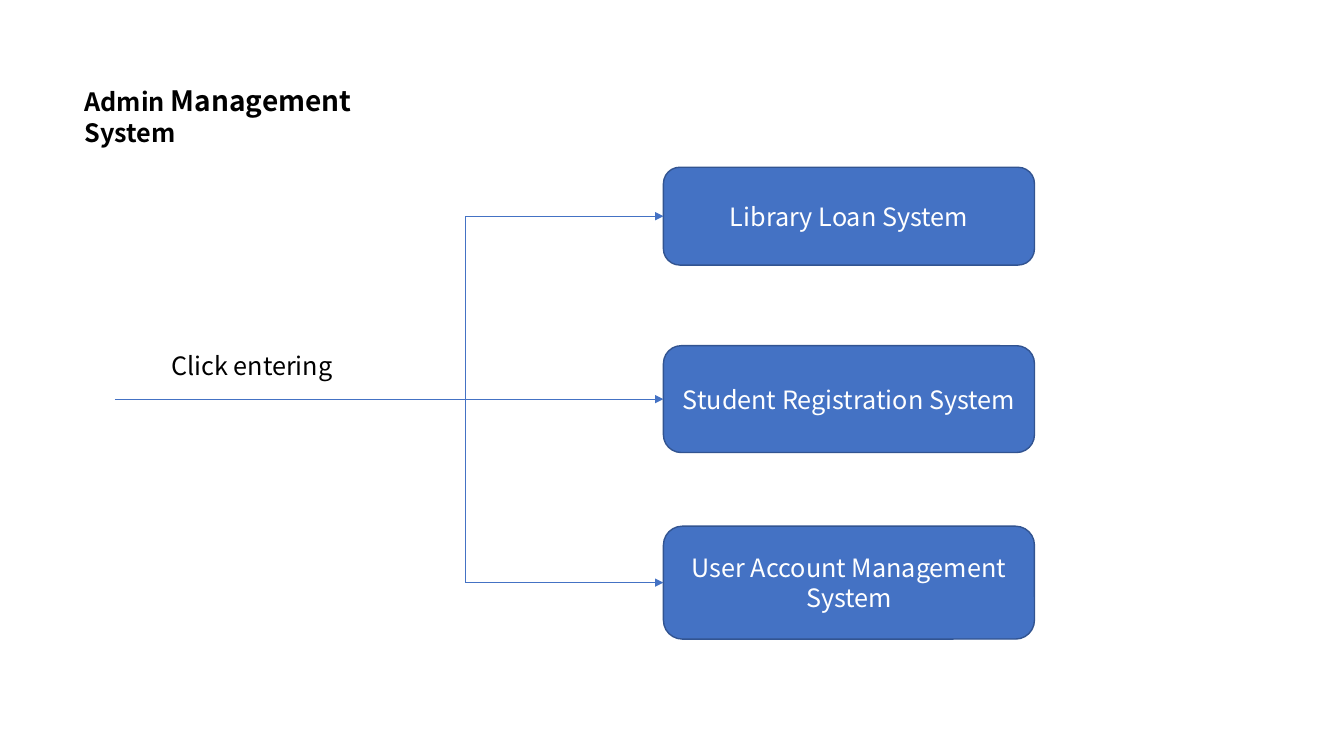
from pptx import Presentation
from pptx import util as u
from pptx.dml import color
from pptx.enum import shapes, text
from pptx.oxml.ns import qn
from lxml import etree

COLORS = {"blue": "4472C4", "border": "325491", "white": "FFFFFF", "black": "000000"}
FONT = "Noto Sans CJK SC"
BOX_LEFT, BOX_WIDTH = 6.58, 3.68
TRUNK_X, ENTRY_X = 4.62, 1.14
SYSTEMS = [
    ("Library Loan System", 1.66, 0.97),
    ("Student Registration System", 3.43, 1.06),
    ("User Account Management System", 5.22, 1.12),
]


def rgb(name):
    """Return the named colour."""
    return color.RGBColor.from_string(COLORS[name])


def write(tf, runs, ink, bold=False):
    """Write (words, size) runs as the one paragraph of a text frame."""
    tf.word_wrap = True
    p = tf.paragraphs[0]
    p.font.name = FONT
    p.font.bold = bold
    p.font.color.rgb = rgb(ink)
    p.font.size = u.Pt(runs[0][1])
    for words, size in runs:
        r = p.add_run()
        r.text = words
        if size != runs[0][1]:
            r.font.size = u.Pt(size)
    return p


def add_label(s, left, top, width, height, runs, bold=False):
    """Add a black text box."""
    sp = s.shapes.add_textbox(*map(u.Inches, (left, top, width, height)))
    write(sp.text_frame, runs, "black", bold)


def add_system(s, name, top, height):
    """Add a rounded box for one system."""
    sp = s.shapes.add_shape(
        shapes.MSO_SHAPE.ROUNDED_RECTANGLE,
        *map(u.Inches, (BOX_LEFT, top, BOX_WIDTH, height)))
    sp.shadow.inherit = False
    sp.fill.solid()
    sp.fill.fore_color.rgb = rgb("blue")
    sp.line.color.rgb = rgb("border")
    sp.line.width = u.Pt(1)
    sp.text_frame.vertical_anchor = text.MSO_ANCHOR.MIDDLE
    p = write(sp.text_frame, [(name, 18)], "white")
    p.alignment = text.PP_ALIGN.CENTER
    return sp


def add_line(s, x1, y1, x2, y2, target=None):
    """Add a thin line, with an arrowhead when it leads to a target box."""
    line = s.shapes.add_connector(
        shapes.MSO_CONNECTOR.STRAIGHT, *map(u.Inches, (x1, y1, x2, y2)))
    line.line.color.rgb = rgb("blue")
    line.line.width = u.Pt(0.5)
    if target is not None:
        line.end_connect(target, 1)
        etree.SubElement(line.line._get_or_add_ln(), qn("a:tailEnd"), type="triangle")
    etree.SubElement(line._element.spPr, qn("a:effectLst"))


def main():
    """Build the slide and save it."""
    prs = Presentation()
    prs.slide_width, prs.slide_height = u.Inches(13.33), u.Inches(7.5)
    s = prs.slides.add_slide(prs.slide_layouts[6])

    add_label(s, 0.74, 0.78, 3.58, 0.44,
              [("Admin ", 18), ("Management", 20), (" System", 18)], bold=True)
    add_label(s, 1.6, 3.43, 1.86, 0.4, [("Click entering", 18)])

    centers = [top + height / 2 for _, top, height in SYSTEMS]
    upper, middle, lower = centers
    add_line(s, ENTRY_X, middle, TRUNK_X, middle)
    add_line(s, TRUNK_X, middle, TRUNK_X, upper)
    add_line(s, TRUNK_X, lower, TRUNK_X, middle)
    for system, y in zip(SYSTEMS, centers):
        sp = add_system(s, *system)
        add_line(s, TRUNK_X, y, BOX_LEFT, y, target=sp)

    prs.save("out.pptx")


if __name__ == "__main__":
    main()
